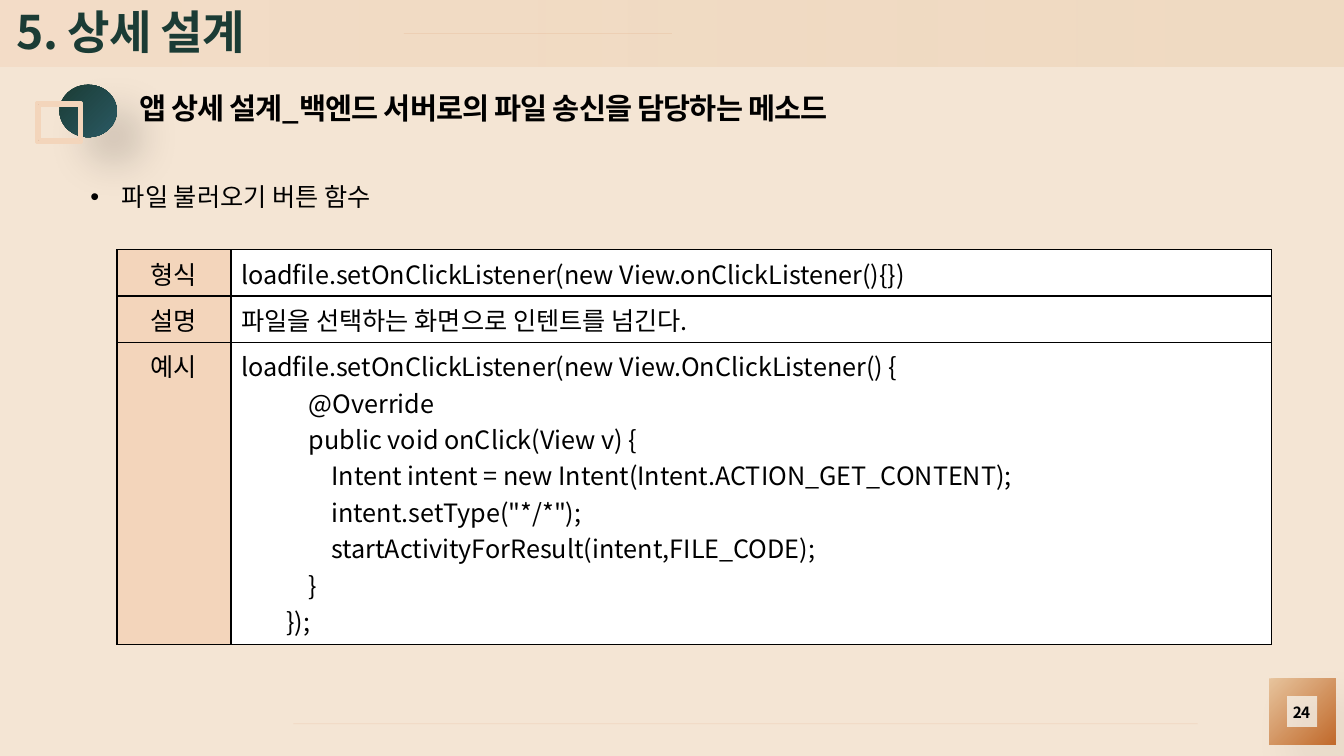
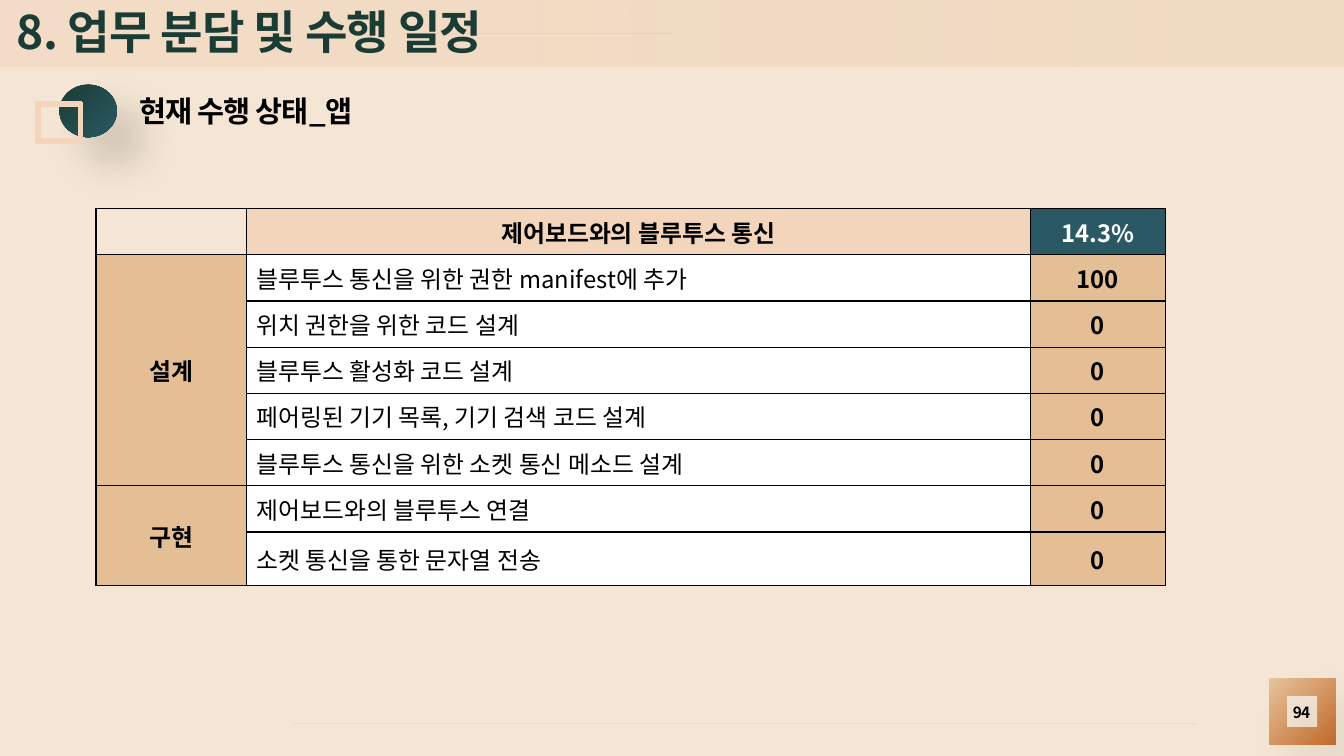
from lxml import etree
from pptx import Presentation
from pptx.dml.color import RGBColor
from pptx.enum import shapes, text
from pptx.oxml.ns import qn
from pptx.util import Pt

FONT = "Noto Sans CJK KR"
CREAM = RGBColor(0xF4, 0xE5, 0xD4)
SAND = RGBColor(0xE7, 0xC4, 0x9D)
PEACH = RGBColor(0xF3, 0xD5, 0xBB)
TAN = RGBColor(0xE4, 0xBE, 0x95)
CLAY = RGBColor(0xE4, 0xC2, 0xA9)
RUST = RGBColor(0xC1, 0x6A, 0x2C)
RULE = RGBColor(0xE3, 0xAB, 0x83)
PINE = RGBColor(0x1B, 0x3C, 0x35)
TEAL = RGBColor(0x2A, 0x59, 0x63)
BLACK = RGBColor(0, 0, 0)
WHITE = RGBColor(0xFF, 0xFF, 0xFF)

LEFT, CENTER = text.PP_ALIGN.LEFT, text.PP_ALIGN.CENTER
TOP, MIDDLE = text.MSO_ANCHOR.TOP, text.MSO_ANCHOR.MIDDLE
SHAPE = shapes.MSO_SHAPE

LOAD_EXAMPLE = """loadfile.setOnClickListener(new View.OnClickListener() {
            @Override
            public void onClick(View v) {
                Intent intent = new Intent(Intent.ACTION_GET_CONTENT);
                intent.setType("*/*");
                startActivityForResult(intent,FILE_CODE);
            }
        });"""

METHOD_ROWS = [
    ("형식", "loadfile.setOnClickListener(new View.onClickListener(){})"),
    ("설명", "파일을 선택하는 화면으로 인텐트를 넘긴다."),
    ("예시", LOAD_EXAMPLE),
]

PHASES = [
    ("설계", [
        ("블루투스 통신을 위한 권한 manifest에 추가", "100"),
        ("위치 권한을 위한 코드 설계", "0"),
        ("블루투스 활성화 코드 설계", "0"),
        ("페어링된 기기 목록, 기기 검색 코드 설계", "0"),
        ("블루투스 통신을 위한 소켓 통신 메소드 설계", "0"),
    ]),
    ("구현", [
        ("제어보드와의 블루투스 연결", "0"),
        ("소켓 통신을 통한 문자열 전송", "0"),
    ]),
]


def add(parent, tag, **attributes):
    return etree.SubElement(parent, qn(tag), attributes)


def set_alpha(color_element, percent):
    add(color_element, "a:alpha", val=str(percent * 1000))


class Deck:
    def __init__(self):
        self.prs = Presentation()
        self.prs.slide_width, self.prs.slide_height = Pt(960), Pt(540)
        self.slide = None

    def start(self, title, number, heading, heading_top):
        self.slide = self.prs.slides.add_slide(self.prs.slide_layouts[6])
        background = self.slide.background.fill
        background.solid()
        background.fore_color.rgb = CREAM

        band = self.shape(SHAPE.RECTANGLE, 0, 0, 960, 47.5)
        self.gradient(band, SAND, PEACH, 180, (31, 50))
        self.rule(288.5, 480, 24)
        corner = self.shape(SHAPE.FRAME, 906.5, 484.5, 47.5, 47.5, 0.265)
        self.gradient(corner, SAND, RUST, 315)
        self.shadow(corner, 8)
        self.rule(209.5, 855.5, 517)
        self.label(title, 12, 0, 615, 45, 33, PINE)
        self.label(number, 907, 500.5, 45.5, 16, 11, align=CENTER)

        disc = self.shape(SHAPE.OVAL, 42.5, 60.5, 41, 37.5)
        self.gradient(disc, PINE, TEAL, 315)
        self.shadow(disc, 17)
        square = self.shape(SHAPE.FRAME, 26, 73.5, 32.5, 28, 0.07)
        square.fill.solid()
        square.fill.fore_color.rgb = CLAY
        square.line.color.rgb = PEACH
        square.line.width = Pt(2.25)
        self.label(heading, 99.5, heading_top, 551, 26.5, 21)

    def shape(self, kind, left, top, width, height, adjustment=None):
        shape = self.slide.shapes.add_shape(kind, Pt(left), Pt(top), Pt(width), Pt(height))
        shape.shadow.inherit = False
        shape.line.fill.background()
        if adjustment is not None:
            shape.adjustments[0] = adjustment
        return shape

    def gradient(self, shape, first, last, angle, alphas=()):
        shape.fill.gradient()
        shape.fill.gradient_angle = angle
        for stop, color, position in zip(shape.fill.gradient_stops, (first, last), (0, 1)):
            stop.color.rgb = color
            stop.position = position
        for color, alpha in zip(shape.element.spPr.iter(qn("a:srgbClr")), alphas):
            set_alpha(color, alpha)

    def shadow(self, shape, alpha):
        effects = shape.element.spPr.find(qn("a:effectLst"))
        outer = add(effects, "a:outerShdw", blurRad=str(Pt(30)), dist=str(Pt(26)),
                    dir=str(45 * 60000), algn="tl", rotWithShape="0")
        set_alpha(add(outer, "a:srgbClr", val=str(BLACK)), alpha)

    def rule(self, start, end, y):
        rule = self.slide.shapes.add_connector(
            shapes.MSO_CONNECTOR.STRAIGHT, Pt(start), Pt(y), Pt(end), Pt(y))
        rule.line.color.rgb = RULE
        rule.line.width = Pt(0.5)
        properties = rule.element.spPr
        set_alpha(next(properties.iter(qn("a:srgbClr"))), 24)
        add(properties, "a:effectLst")

    def style(self, paragraph, size, color=BLACK, bold=False, align=LEFT, spacing=0):
        paragraph.alignment = align
        font = paragraph.font
        font.size, font.bold, font.name = Pt(size), bold, FONT
        font.color.rgb = color
        defaults = paragraph._p.pPr.find(qn("a:defRPr"))
        defaults.set("spc", str(spacing))
        add(defaults, "a:ea", typeface=FONT)

    def box(self, words, left, top, width, height):
        frame = self.slide.shapes.add_textbox(
            Pt(left), Pt(top), Pt(width), Pt(height)).text_frame
        frame.word_wrap = True
        frame.text = words
        return frame

    def label(self, words, left, top, width, height, size, color=BLACK, align=LEFT):
        frame = self.box(words, left, top, width, height)
        frame.margin_left = frame.margin_right = frame.margin_top = frame.margin_bottom = 0
        frame.vertical_anchor = MIDDLE
        self.style(frame.paragraphs[0], size, color, True, align, -60)

    def bullet(self, words, left, top, width, height):
        paragraph = self.box(words, left, top, width, height).paragraphs[0]
        properties = paragraph._p.get_or_add_pPr()
        properties.set("marL", str(Pt(22.5)))
        properties.set("indent", str(-Pt(22.5)))
        add(properties, "a:buFont", typeface="Arial")
        add(properties, "a:buChar", char="•")
        self.style(paragraph, 18)

    def table(self, left, top, widths, heights):
        table = self.slide.shapes.add_table(
            len(heights), len(widths), Pt(left), Pt(top),
            Pt(sum(widths)), Pt(sum(heights))).table
        table.first_row = table.horz_banding = False
        for column, width in zip(table.columns, widths):
            column.width = Pt(width)
        for row, height in zip(table.rows, heights):
            row.height = Pt(height)
        for cell in table.iter_cells():
            cell.fill.background()
            self.borders(cell)
        return table

    def borders(self, cell):
        properties = cell._tc.get_or_add_tcPr()
        for index, side in enumerate(("a:lnL", "a:lnR", "a:lnT", "a:lnB")):
            line = etree.Element(qn(side), w=str(Pt(1)))
            add(add(line, "a:solidFill"), "a:srgbClr", val=str(BLACK))
            properties.insert(index, line)

    def cell(self, cell, words, fill, size, color=BLACK, bold=False, align=LEFT, anchor=MIDDLE):
        cell.fill.solid()
        cell.fill.fore_color.rgb = fill
        cell.vertical_anchor = anchor
        cell.text_frame.text = words
        for paragraph in cell.text_frame.paragraphs:
            self.style(paragraph, size, color, bold, align)


def method_slide(deck):
    deck.start("5. 상세 설계", "24", "앱 상세 설계_백엔드 서버로의 파일 송신을 담당하는 메소드", 64)
    method = deck.table(83.5, 178.5, (81.5, 743), (33, 33, 216))
    for row, (item, content) in enumerate(METHOD_ROWS):
        deck.cell(method.cell(row, 0), item, PEACH, 18, align=CENTER, anchor=TOP)
        deck.cell(method.cell(row, 1), content, WHITE, 18, anchor=TOP)
    deck.bullet("파일 불러오기 버튼 함수", 57.5, 126, 279, 29)


def progress_slide(deck):
    deck.start("8. 업무 분담 및 수행 일정", "94", "현재 수행 상태_앱", 65.5)
    progress = deck.table(68.5, 149, (107.5, 560, 96.5), [33] * 7 + [38.5])
    deck.cell(progress.cell(0, 1), "제어보드와의 블루투스 통신", PEACH, 17, bold=True, align=CENTER)
    deck.cell(progress.cell(0, 2), "14.3%", TEAL, 17, WHITE, True, CENTER)
    row = 1
    for phase, tasks in PHASES:
        phase_cell = progress.cell(row, 0)
        phase_cell.merge(progress.cell(row + len(tasks) - 1, 0))
        deck.cell(phase_cell, phase, TAN, 17, bold=True, align=CENTER)
        for task, percent in tasks:
            deck.cell(progress.cell(row, 1), task, WHITE, 17)
            deck.cell(progress.cell(row, 2), percent, TAN, 17, bold=True, align=CENTER)
            row += 1


def main():
    deck = Deck()
    method_slide(deck)
    progress_slide(deck)
    deck.prs.save("out.pptx")


if __name__ == "__main__":
    main()
